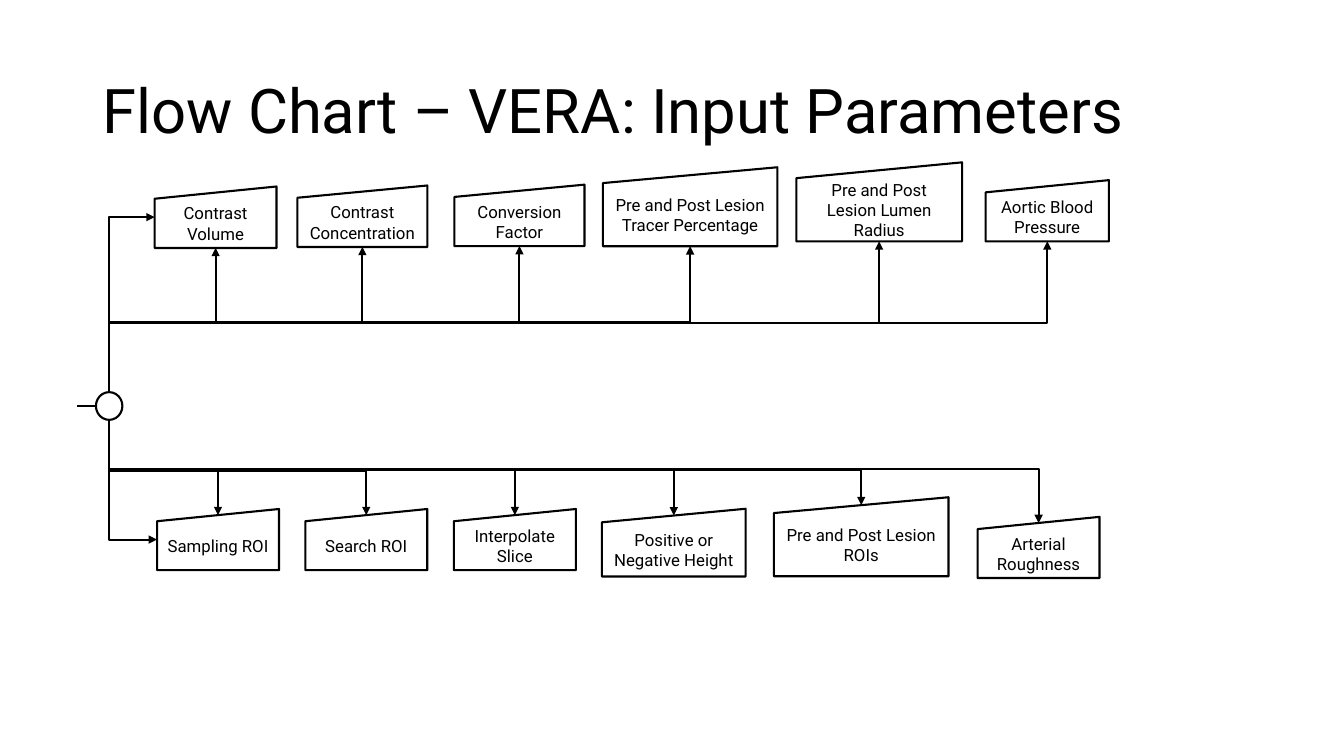
from dataclasses import dataclass

from lxml.etree import SubElement
from pptx import Presentation
from pptx.dml.color import RGBColor
from pptx.enum.shapes import MSO_CONNECTOR, MSO_SHAPE
from pptx.enum.text import MSO_ANCHOR, MSO_AUTO_SIZE, PP_ALIGN
from pptx.oxml.ns import qn
from pptx.util import Pt


@dataclass(frozen=True)
class Theme:
    font: str = "Roboto"
    ink: RGBColor = RGBColor(0, 0, 0)
    paper: RGBColor = RGBColor(255, 255, 255)
    title_size: float = 44
    label_size: float = 12
    line_width: float = 1.5


# Trunk line and the two ends of the junction circle
TRUNK_X = 77.9
CIRCLE = (68.5, 280.1, 18.9, 19.8)
CIRCLE_TOP, CIRCLE_BOTTOM = 280.1, 299.9

# Label, left, top, width, height, height of the branch line
UPPER_INPUTS = [
    ("Contrast Volume", 110.4, 133.2, 87.1, 43.9, 230.4),
    ("Contrast Concentration", 212.4, 132.5, 92.9, 43.9, 230.4),
    ("Conversion Factor", 324.6, 131.9, 92.9, 43.9, 230.4),
    ("Pre and Post Lesion Tracer Percentage", 430.7, 119.5, 124.6, 56.4, 230.4),
    ("Pre and Post Lesion Lumen Radius", 568.8, 116, 118.4, 56.4, 230.4),
    ("Aortic Blood Pressure", 704, 128.7, 88.1, 43.7, 230.4),
]
LOWER_INPUTS = [
    ("Sampling ROI", 112.2, 363.6, 87.1, 43.7, 336.7),
    ("Search ROI", 218.1, 363.6, 87.1, 43.7, 336.7),
    ("Interpolate Slice", 324.2, 363.6, 87.1, 43.7, 336),
    ("Positive or Negative Height", 430, 363.4, 102.6, 48.4, 335),
    ("Pre and Post Lesion ROIs", 552.8, 355.2, 124.7, 56.4, 335.5),
    ("Arterial Roughness", 698.3, 369.2, 87.1, 43.7, 335),
]


def write_text(shape, text, *, theme, size, align=PP_ALIGN.LEFT, spacing=None):
    frame = shape.text_frame
    frame.word_wrap = True
    frame.auto_size = MSO_AUTO_SIZE.NONE
    frame.vertical_anchor = MSO_ANCHOR.MIDDLE
    paragraph = frame.paragraphs[0]
    paragraph.alignment = align
    paragraph.line_spacing = spacing
    run = paragraph.add_run()
    run.text = text
    run.font.name = theme.font
    run.font.size = Pt(size)
    run.font.color.rgb = theme.ink


class FlowChart:
    def __init__(self, slide, theme):
        self.slide = slide
        self.theme = theme
        slide.background.fill.solid()
        slide.background.fill.fore_color.rgb = theme.paper

    def title(self, text, left, top, width, height):
        shape = self.slide.shapes.title
        shape.left, shape.top = Pt(left), Pt(top)
        shape.width, shape.height = Pt(width), Pt(height)
        write_text(shape, text, theme=self.theme, size=self.theme.title_size, spacing=0.9)

    def outline(self, kind, left, top, width, height):
        shape = self.slide.shapes.add_shape(kind, Pt(left), Pt(top), Pt(width), Pt(height))
        shape.shadow.inherit = False
        shape.fill.background()
        self.pen(shape)
        return shape

    def input_box(self, label, *bounds):
        shape = self.outline(MSO_SHAPE.FLOWCHART_MANUAL_INPUT, *bounds)
        shape.text_frame.margin_left = shape.text_frame.margin_right = Pt(7)
        write_text(shape, label, theme=self.theme, size=self.theme.label_size,
                   align=PP_ALIGN.CENTER)

    def pen(self, shape):
        shape.line.color.rgb = self.theme.ink
        shape.line.width = Pt(self.theme.line_width)

    def connector(self, kind, *ends):
        connector = self.slide.shapes.add_connector(kind, *(Pt(value) for value in ends))
        self.pen(connector)
        SubElement(connector.element.spPr, qn("a:effectLst"))
        return connector

    def branch(self, start_y, end_x, end_y, bend_y=None):
        """Arrow that leaves the trunk vertically; without bend_y it has one corner."""
        rise, run = abs(end_y - start_y), end_x - TRUNK_X
        center_x, center_y = (TRUNK_X + end_x) / 2, (start_y + end_y) / 2
        upward = end_y < start_y
        half_run = run / 2 if upward else -run / 2

        # The elbow is laid out sideways and then turned upright
        connector = self.connector(MSO_CONNECTOR.ELBOW,
                                   center_x + rise / 2, center_y + half_run,
                                   center_x - rise / 2, center_y - half_run)
        properties = connector.element.spPr
        properties.find(qn("a:xfrm")).set("rot", str((90 if upward else 270) * 60000))
        geometry = properties.find(qn("a:prstGeom"))
        if bend_y is None:
            geometry.set("prst", "bentConnector2")
        else:
            share = round(abs(bend_y - start_y) / rise * 100000)
            SubElement(geometry.find(qn("a:avLst")), qn("a:gd"),
                       name="adj1", fmla=f"val {share}")
        SubElement(properties.find(qn("a:ln")), qn("a:tailEnd"), type="triangle")

    def input_row(self, inputs, start_y, upward):
        for label, *bounds, _ in inputs:
            self.input_box(label, *bounds)
        # The first box is also entered from its left side
        _, left, top, _, height, _ = inputs[0]
        self.branch(start_y, left, top + height / 2)
        for _, left, top, width, height, bend_y in inputs:
            # The slanted top edge is a tenth of the height down at its middle
            end_y = top + height if upward else top + height / 10
            self.branch(start_y, left + width / 2, end_y, bend_y)


def main():
    presentation = Presentation()
    presentation.slide_width, presentation.slide_height = Pt(960), Pt(540)
    slide = presentation.slides.add_slide(presentation.slide_layouts[5])
    chart = FlowChart(slide, Theme())

    # Title
    chart.title("Flow Chart – VERA: Input Parameters", 66, 28.75, 828, 104.4)

    # Junction
    chart.outline(MSO_SHAPE.FLOWCHART_CONNECTOR, *CIRCLE)
    chart.connector(MSO_CONNECTOR.STRAIGHT, 55, 290, CIRCLE[0], 290)

    # Input parameters above and below the junction
    chart.input_row(UPPER_INPUTS, CIRCLE_TOP, upward=True)
    chart.input_row(LOWER_INPUTS, CIRCLE_BOTTOM, upward=False)

    presentation.save("out.pptx")


if __name__ == "__main__":
    main()
